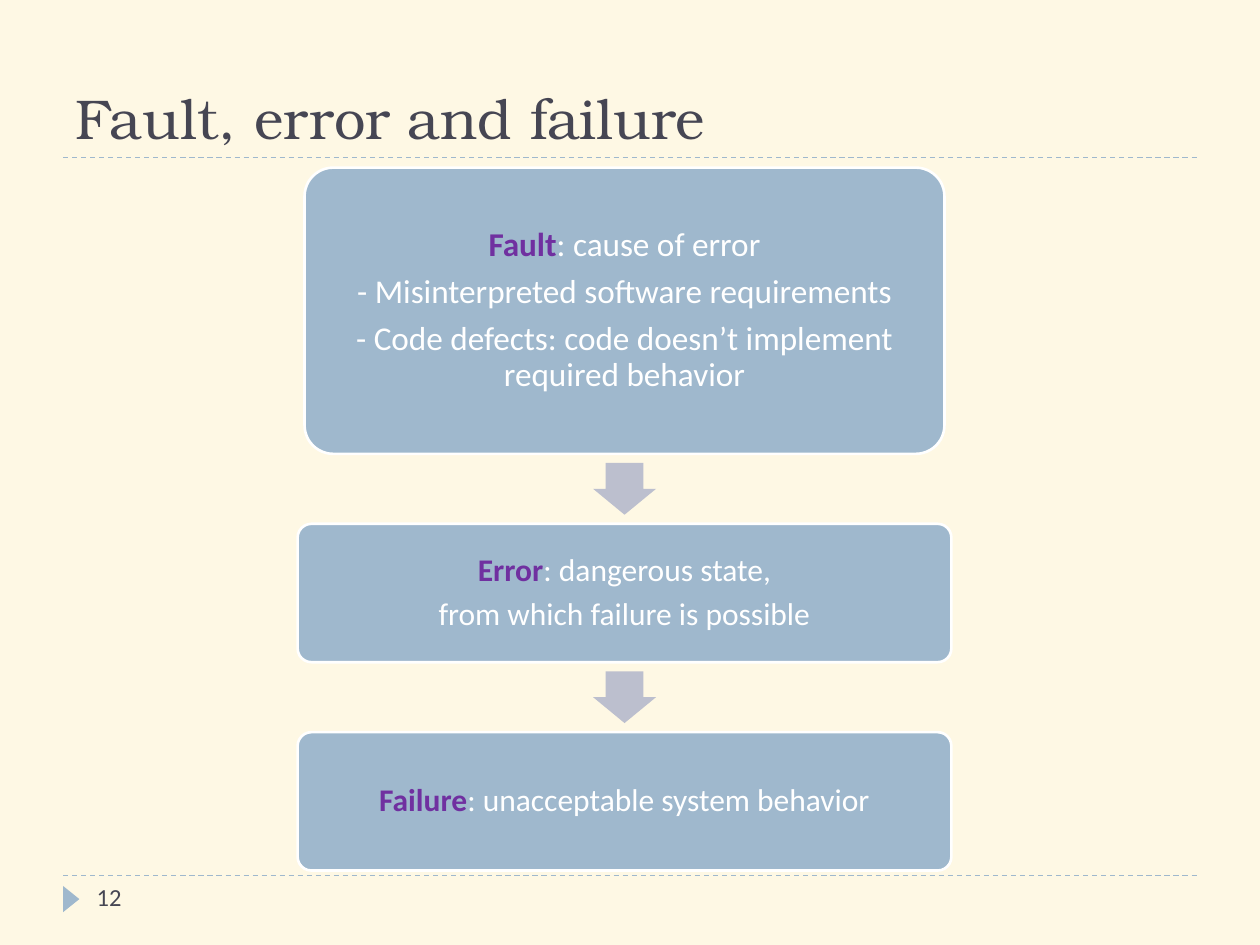
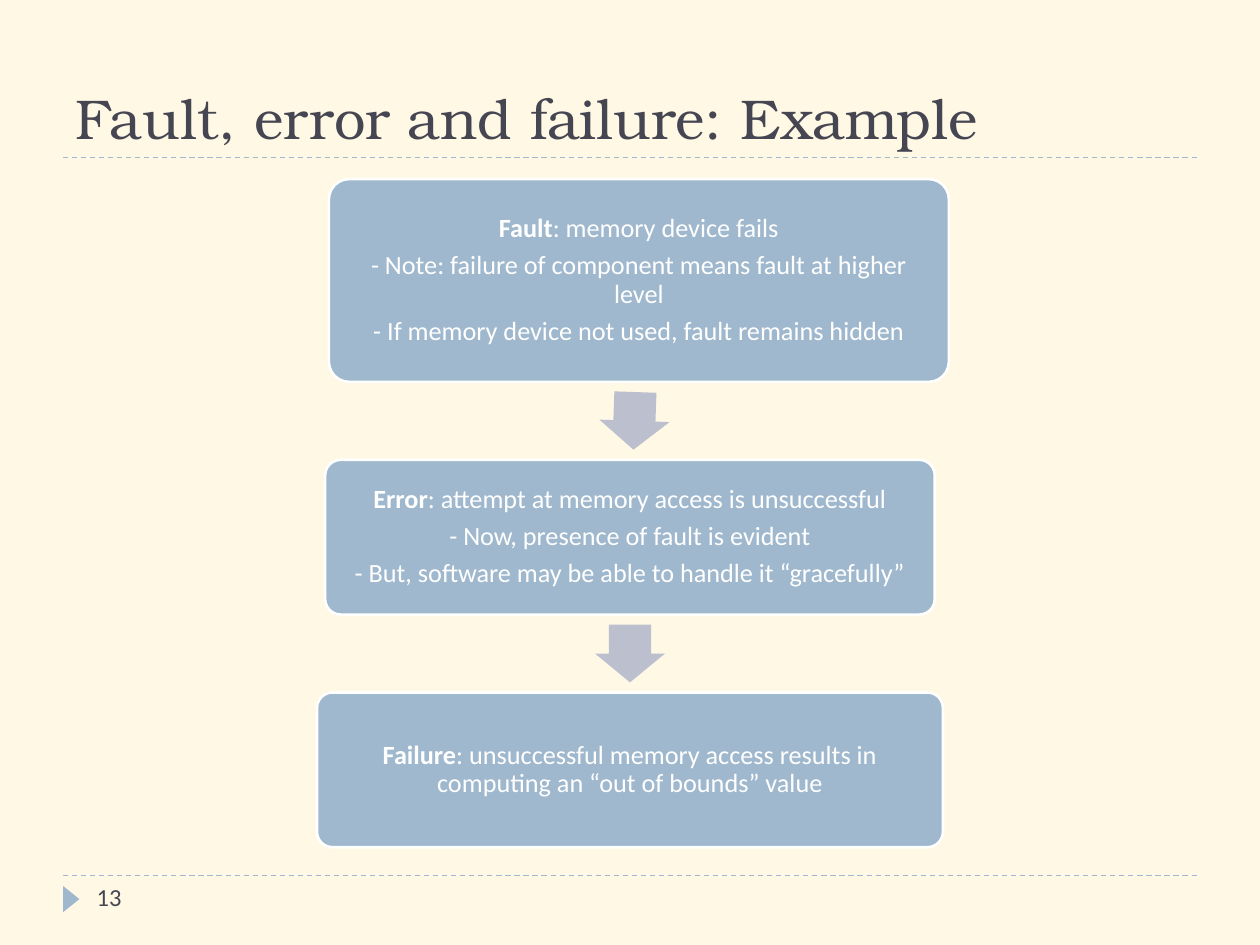
import math
from dataclasses import dataclass

from lxml import etree
from pptx import Presentation
from pptx import util as u
from pptx.dml.color import RGBColor
from pptx.enum import dml, shapes, text
from pptx.oxml import ns

CREAM = RGBColor(0xFE, 0xF8, 0xE4)
INK = RGBColor(0x46, 0x46, 0x53)
BLUE = RGBColor(0x9F, 0xB8, 0xCD)
LILAC = RGBColor(0xBC, 0xBF, 0xCE)
PURPLE = RGBColor(0x70, 0x30, 0xA0)
WHITE = RGBColor(0xFF, 0xFF, 0xFF)
TITLE_FONT = "TeX Gyre Bonum"
BODY_FONT = "Calibri"


@dataclass
class Stage:
    term: str
    meaning: str
    details: list
    center: float
    width: float
    height: float
    size: int
    inset: float = 0.25


@dataclass
class Chain:
    title: str
    number: str
    top: float
    gap: float
    term_color: RGBColor
    stages: list


CHAINS = [
    Chain("Fault, error and failure", "12", 3.38, 1.41, PURPLE, [
        Stage("Fault", ": cause of error",
              ["- Misinterpreted software requirements",
               "- Code defects: code doesn’t implement required behavior"],
              12.59, 12.9, 5.77, 19, 0.38),
        Stage("Error", ": dangerous state,", ["from which failure is possible"],
              12.59, 13.18, 2.79, 18),
        Stage("Failure", ": unacceptable system behavior", [],
              12.59, 13.18, 2.79, 18),
    ]),
    Chain("Fault, error and failure: Example", "13", 3.61, 1.57, WHITE, [
        Stage("Fault", ": memory device fails",
              ["- Note: failure of component means fault at higher level",
               "- If memory device not used, fault remains hidden"],
              12.88, 12.5, 4.09, 15),
        Stage("Error", ": attempt at memory access is unsuccessful",
              ["- Now, presence of fault is evident",
               "- But, software may be able to handle it “gracefully”"],
              12.7, 12.29, 3.12, 15),
        Stage("Failure", ": unsuccessful memory access results in "
              "computing an “out of bounds” value", [],
              12.7, 12.62, 3.12, 15),
    ]),
]


def style_run(run, font, size, color, bold=False):
    run.font.name = font
    run.font.size = u.Pt(size)
    run.font.color.rgb = color
    run.font.bold = bold


def add_block(slide, preset, left, top, width, height, fill):
    block = slide.shapes.add_shape(
        preset, u.Cm(left), u.Cm(top), u.Cm(width), u.Cm(height))
    block.shadow.inherit = False
    block.fill.solid()
    block.fill.fore_color.rgb = fill
    block.line.fill.background()
    return block


def add_rule(slide, left, top, width):
    rule = slide.shapes.add_connector(
        shapes.MSO_CONNECTOR.STRAIGHT,
        u.Cm(left), u.Cm(top), u.Cm(left + width), u.Cm(top))
    rule.line.color.rgb = BLUE
    rule.line.width = u.Pt(0.75)
    rule.line.dash_style = dml.MSO_LINE.DASH
    etree.SubElement(rule.element.spPr, ns.qn("a:effectLst"))


def add_heading(slide, title, left, top, width, height):
    add_rule(slide, left, top + height, width)
    heading = slide.shapes.title
    heading.left, heading.top = u.Cm(left), u.Cm(top)
    heading.width, heading.height = u.Cm(width), u.Cm(height)
    frame = heading.text_frame
    frame.text = title
    frame.auto_size = text.MSO_AUTO_SIZE.NONE
    frame.vertical_anchor = text.MSO_ANCHOR.BOTTOM
    frame.paragraphs[0].alignment = text.PP_ALIGN.LEFT
    style_run(frame.paragraphs[0].runs[0], TITLE_FONT, 32, INK)


def add_footer(slide, number, left, top, width):
    add_rule(slide, left, top, width)
    marker = add_block(slide, shapes.MSO_SHAPE.ISOSCELES_TRIANGLE,
                       left - 0.1, top + 0.31, 0.53, 0.33, BLUE)
    marker.rotation = 90
    page = slide.shapes.add_textbox(
        u.Cm(left + 0.43), u.Cm(top), u.Cm(5.5), u.Cm(1.02))
    page.text_frame.word_wrap = True
    page.text_frame.text = number
    style_run(page.text_frame.paragraphs[0].runs[0], BODY_FONT, 14, INK)


def add_stage(slide, stage, top, term_color):
    box = add_block(slide, shapes.MSO_SHAPE.ROUNDED_RECTANGLE,
                    stage.center - stage.width / 2, top,
                    stage.width, stage.height, BLUE)
    box.adjustments[0] = 0.1
    box.line.color.rgb = WHITE
    box.line.width = u.Pt(1.5)
    frame = box.text_frame
    frame.word_wrap = True
    frame.vertical_anchor = text.MSO_ANCHOR.MIDDLE
    frame.margin_left = frame.margin_right = u.Cm(stage.inset)
    frame.margin_top = frame.margin_bottom = u.Cm(stage.inset)
    frame.text = "\n".join([stage.term, *stage.details])
    frame.paragraphs[0].add_run().text = stage.meaning
    for paragraph in frame.paragraphs:
        paragraph.alignment = text.PP_ALIGN.CENTER
        paragraph.line_spacing = 0.9
        paragraph.space_after = u.Pt(round(stage.size * 0.33, 1))
        for run in paragraph.runs:
            style_run(run, BODY_FONT, stage.size, WHITE)
    style_run(frame.paragraphs[0].runs[0], BODY_FONT, stage.size, term_color, True)


def add_arrow(slide, cause, effect, top, gap):
    width, height = 0.9 * gap, 0.74 * gap
    center = (cause.center + effect.center) / 2
    arrow = add_block(slide, shapes.MSO_SHAPE.DOWN_ARROW, center - width / 2,
                      top + (gap - height) / 2, width, height, LILAC)
    arrow.adjustments[0] = 0.6
    arrow.adjustments[1] = 0.5
    drop = (cause.height + effect.height) / 2 + gap
    arrow.rotation = math.degrees(math.atan2(cause.center - effect.center, drop))


def add_chain(slide, chain):
    top = chain.top
    for stage, effect in zip(chain.stages, [*chain.stages[1:], None]):
        add_stage(slide, stage, top, chain.term_color)
        top += stage.height
        if effect:
            add_arrow(slide, stage, effect, top, chain.gap)
            top += chain.gap


def add_chain_slide(deck, chain):
    slide = deck.slides.add_slide(deck.slide_layouts.get_by_name("Title Only"))
    add_heading(slide, chain.title, 1.27, 0.43, 22.86, 2.74)
    add_footer(slide, chain.number, 1.27, 17.65, 22.86)
    add_chain(slide, chain)


def main():
    deck = Presentation()
    deck.slide_width, deck.slide_height = u.Cm(25.4), u.Cm(19.05)
    backdrop = deck.slide_master.background.fill
    backdrop.solid()
    backdrop.fore_color.rgb = CREAM
    for chain in CHAINS:
        add_chain_slide(deck, chain)
    deck.save("out.pptx")


if __name__ == "__main__":
    main()
